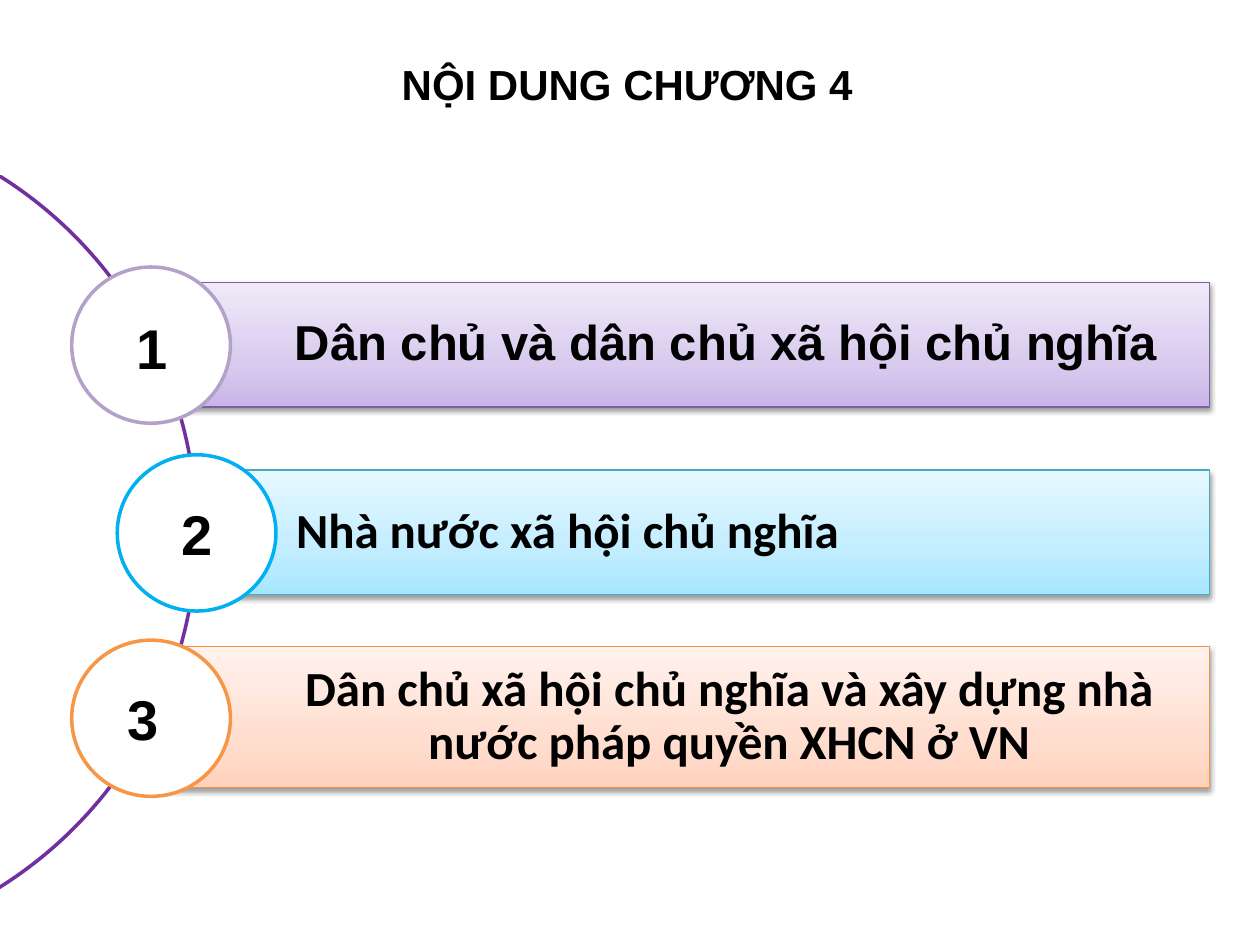
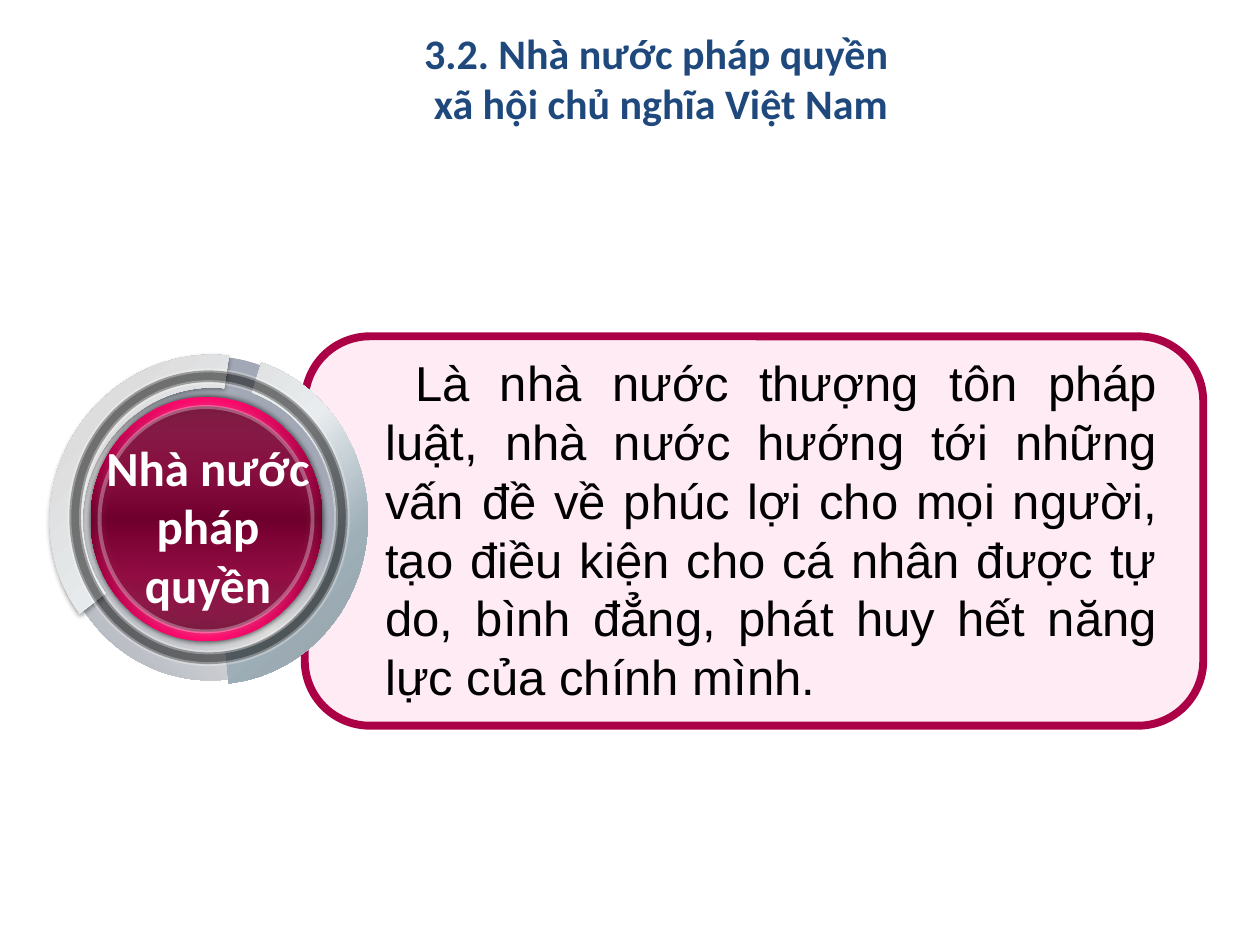
from lxml.etree import SubElement as Sub
from pptx import Presentation
from pptx.dml.color import RGBColor
from pptx.enum.shapes import MSO_SHAPE as SHP
from pptx.enum.text import MSO_ANCHOR as ANC, PP_ALIGN as AL
from pptx.oxml.ns import qn
from pptx.util import Pt

BLACK, WHITE, NAVY = "000000", "FFFFFF", "1F497D"
PURPLE, CRIMSON, PINK = "7030A0", "AC0046", "FF096D"
SOFT = (BLACK, 38, 3.1, 1.6, 90)
TITLE = dict(size=24, bold=True)
NUMBER = dict(size=32, bold=True, align=AL.CENTER)


def add(s, kind, box, fill=None, line=None, width=0.75, alpha=None,
        line_alpha=None, angle=None, shadow=None, adj=(), rot=0):
    sp = s.shapes.add_shape(kind, *[Pt(v) for v in box])
    sp.shadow.inherit = False
    sp.rotation = rot
    for i, v in enumerate(adj):
        sp.adjustments[i] = v
    pr = sp._element.spPr
    if isinstance(fill, list):
        sp.fill.gradient()
        grad = pr.find(qn("a:gradFill"))
        for child in list(grad):
            grad.remove(child)
        stops = Sub(grad, qn("a:gsLst"))
        for pos, color, *opacity in fill:
            gs = Sub(stops, qn("a:gs"), pos=str(pos * 1000))
            clr = Sub(gs, qn("a:srgbClr"), val=color)
            for o in opacity:
                Sub(clr, qn("a:alpha"), val=str(o * 1000))
        if angle is None:
            radial = Sub(grad, qn("a:path"), path="circle")
            Sub(radial, qn("a:fillToRect"), l="100000", t="100000")
        else:
            Sub(grad, qn("a:lin"), ang=str(angle * 60000), scaled="0")
    elif fill:
        sp.fill.solid()
        sp.fill.fore_color.rgb = RGBColor.from_string(fill)
    else:
        sp.fill.background()
    if line:
        sp.line.color.rgb = RGBColor.from_string(line)
        sp.line.width = Pt(width)
    else:
        sp.line.fill.background()
    for where, o in (("a:solidFill", alpha), ("a:ln/a:solidFill", line_alpha)):
        if o:
            tag = "/".join(qn(t) for t in (where + "/a:srgbClr").split("/"))
            Sub(pr.find(tag), qn("a:alpha"), val=str(o * 1000))
    if shadow:
        color, o, blur, dist, direction = shadow
        sh = Sub(pr.find(qn("a:effectLst")), qn("a:outerShdw"),
                 blurRad=str(Pt(blur)), dist=str(Pt(dist)),
                 dir=str(direction * 60000), rotWithShape="0")
        clr = Sub(sh, qn("a:srgbClr"), val=color)
        Sub(clr, qn("a:alpha"), val=str(o * 1000))
    return sp


def write(sp, text, size=28, font="Arial", color=BLACK, bold=False, align=AL.LEFT,
          anchor=ANC.TOP, wrap=True, insets=None, spacing=None, indent=0):
    tf = sp.text_frame
    tf.word_wrap = wrap
    tf.vertical_anchor = anchor
    if insets:
        tf.margin_left, tf.margin_top, tf.margin_right, tf.margin_bottom = map(Pt, insets)
    for i, row in enumerate(text.split("\n")):
        p = tf.add_paragraph() if i else tf.paragraphs[0]
        p.alignment = align
        if spacing:
            p.line_spacing = spacing
        if indent:
            p._p.get_or_add_pPr().set("indent", str(Pt(indent)))
        r = p.add_run()
        r.text = row
        r.font.size, r.font.name, r.font.bold = Pt(size), font, bold
        r.font.color.rgb = RGBColor.from_string(color)


prs = Presentation()
prs.slide_width, prs.slide_height = Pt(720), Pt(540)
blank = prs.slide_layouts[6]

s = prs.slides.add_slide(blank)
title = s.shapes.add_textbox(Pt(222.5), Pt(30.2), Pt(275.8), Pt(36))
write(title, "NỘI DUNG CHƯƠNG 4", wrap=False, **TITLE)
add(s, SHP.BLOCK_ARC, (-367.2, 64.1, 479.5, 479.5), PURPLE, PURPLE, 2,
    adj=(181.33, 34.8, 0))

RIGHT = 691.2
chapters = [
    ("Dân chủ và dân chủ xã hội chủ nghĩa", "Arial", AL.CENTER,
     (86.4, 161.3, 71.3), ("C9B5E8", "D8CBEE", "F0EAF9"), "7D60A0",
     (41, 152.6), "B3A2C7", (64.1, 175.7)),
    ("Nhà nước xã hội chủ nghĩa", "Calibri", AL.JUSTIFY,
     (112.3, 268.6, 71.3), ("A7E6FF", "C1EDFF", "E7F8FF"), "46AAC5",
     (67, 259.9), "00B0F0", (90, 282.2)),
    ("Dân chủ xã hội chủ nghĩa và xây dựng nhà nước pháp quyền XHCN ở VN",
     "Calibri", AL.CENTER,
     (90, 369.4, 80.6), ("FFD2BD", "FFDED0", "FFF2ED"), "F69240",
     (41, 365.8), "F79646", (59, 387.4)),
]
for n, (text, font, align, (x, y, h), tints, edge, circle, ring, num) in enumerate(chapters, 1):
    band = add(s, SHP.RECTANGLE, (x, y, RIGHT - x, h), list(zip((0, 35, 100), tints)),
               edge, angle=270, shadow=SOFT)
    write(band, text, font=font, bold=True, align=align, anchor=ANC.MIDDLE,
          insets=(56.9, 5, 5, 5), spacing=0.9)
    add(s, SHP.OVAL, (*circle, 90.7, 89.3), WHITE, ring, 2)
    label = add(s, SHP.RECTANGLE, (*num, 45.4, 46.1), WHITE if n == 3 else None)
    write(label, str(n), **NUMBER)

s = prs.slides.add_slide(blank)
title = s.shapes.add_textbox(Pt(167.8), Pt(12.2), Pt(419.8), Pt(65.5))
write(title, "3.2. Nhà nước pháp quyền \nxã hội chủ nghĩa Việt Nam", font="Calibri",
      color=NAVY, align=AL.CENTER, **TITLE)

add(s, SHP.ROUNDED_RECTANGLE, (174.2, 192.2, 513.4, 222.5), "FFEBF3", CRIMSON, 4.5,
    adj=(0.167,))
definition = s.shapes.add_textbox(Pt(213.1), Pt(198), Pt(455), Pt(211))
write(definition, "Là nhà nước thượng tôn pháp luật, nhà nước hướng tới những vấn đề "
      "về phúc lợi cho mọi người, tạo điều kiện cho cá nhân được tự do, bình đẳng, "
      "phát huy hết năng lực của chính mình.", align=AL.JUSTIFY, indent=17)

steel = [(0, "9DA3B1"), (35, "A5ABB7"), (58, "DDDDDD"), (100, "A5ABB7")]
silver = [(0, "959FA5"), (25, "9EAFB8"), (50, "E8ECEE"), (75, "DDDDDD"), (100, "9DA3B1")]
quarters = (0, 25, 50, 75, 100)
ruby = list(zip(quarters, (PINK, CRIMSON, "70002D", CRIMSON, PINK)))
shade = [(pos, BLACK, o) for pos, o in zip(quarters, (50, 23, 0, 16, 50))]
rim = dict(line=WHITE, width=2.25, line_alpha=30)

add(s, SHP.OVAL, (32.4, 203.8, 175.7, 185), steel, angle=135)
add(s, SHP.BLOCK_ARC, (25.2, 205.9, 184.3, 175.7), silver, shadow=SOFT,
    adj=(120.71, 202.87, 0.107), rot=300.4)
add(s, SHP.BLOCK_ARC, (27.4, 208.1, 188.6, 177.1), silver,
    adj=(10.31, 104.69, 0.102), rot=270)
add(s, SHP.DONUT, (39.6, 211.7, 159.1, 167.8), BLACK, alpha=50, adj=(0.042,), **rim)
add(s, SHP.OVAL, (51.8, 226.8, 132.5, 139.7), ruby, angle=90,
    shadow=(BLACK, 80, 4, 0, 0))
add(s, SHP.OVAL, (56.9, 232.6, 121.7, 128.2), shade, angle=90,
    shadow=(WHITE, 40, 5, 0, 0), **rim)
label = s.shapes.add_textbox(Pt(52.6), Pt(246.2), Pt(132.5), Pt(108.7))
write(label, "Nhà nước pháp quyền", font="Calibri", color=WHITE, bold=True,
      align=AL.CENTER)

prs.save("out.pptx")
